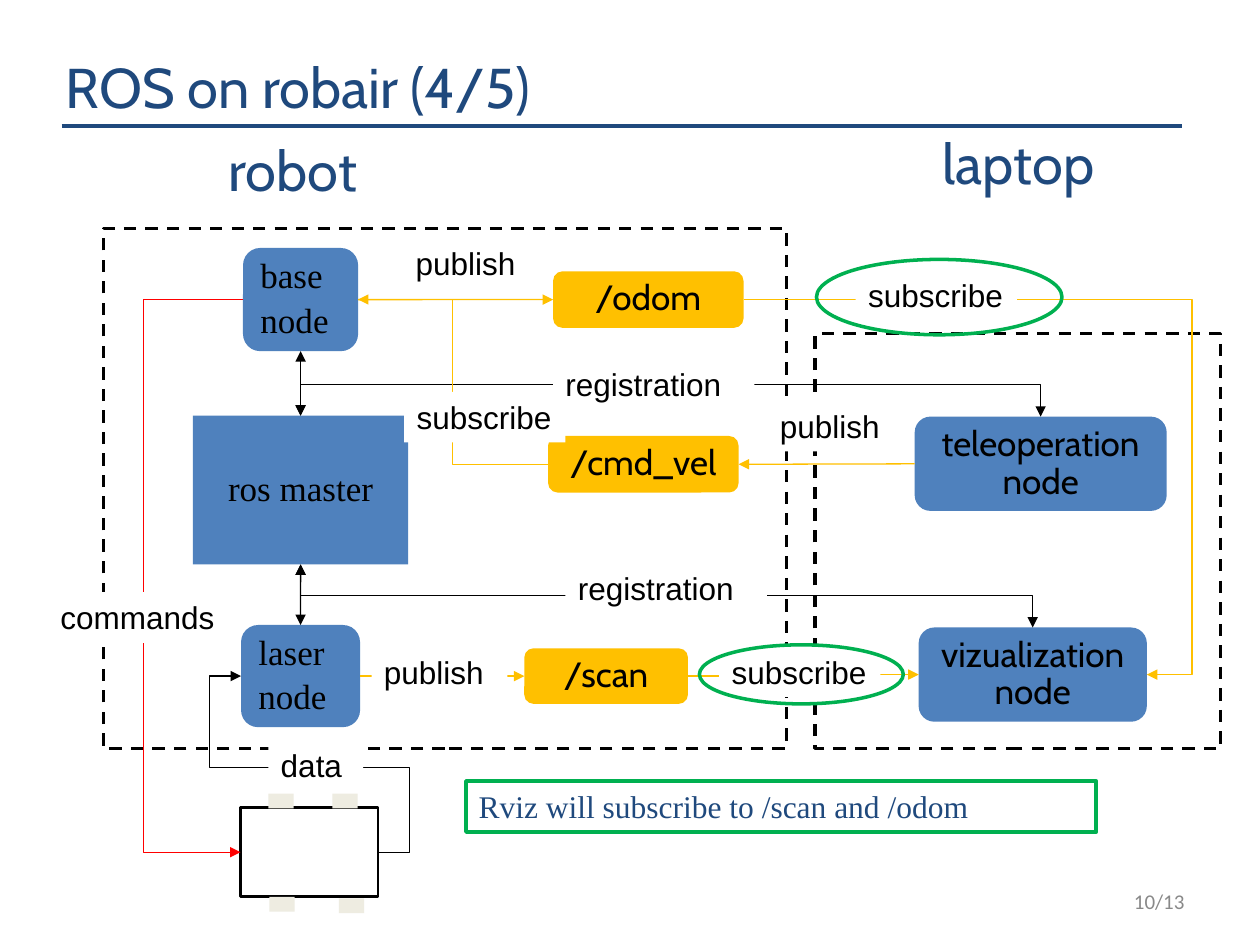
from pptx import Presentation
from pptx.dml.color import RGBColor
from pptx.enum.dml import MSO_LINE
from pptx.enum.shapes import MSO_CONNECTOR, MSO_SHAPE
from pptx.enum.text import MSO_ANCHOR, PP_ALIGN
from pptx.oxml.ns import qn
from pptx.util import Cm, Pt
from lxml.etree import SubElement

BLACK, WHITE, NAVY, BLUE = "000000", "FFFFFF", "1F497D", "4F81BD"
GOLD, GREEN, RED, SAND, GREY = "FFC000", "00B050", "FF0000", "EEECE1", "898989"
SERIF, SANS, HEAD = "Times New Roman", "Arial", "Cabin"
TOP, LEFT, BOTTOM, RIGHT = range(4)


def paint(part, color):
    """Set a fill or font colour from a hex string."""
    if hasattr(part, "solid"):
        part.solid()
        part.fore_color.rgb = RGBColor.from_string(color)
    else:
        part.color.rgb = RGBColor.from_string(color)


def write(shape, lines, font, size, color=BLACK, align=PP_ALIGN.LEFT,
          anchor=MSO_ANCHOR.TOP, space=None):
    """Write paragraphs; a newline inside one is a line break."""
    frame = shape.text_frame
    frame.word_wrap = True
    frame.vertical_anchor = anchor
    for n, line in enumerate(lines):
        para = frame.add_paragraph() if n else frame.paragraphs[0]
        para.alignment = align
        para.line_spacing = space
        if n:
            para.space_before = Pt(4)
        for k, word in enumerate(line.split("\n")):
            if k:
                para.add_line_break()
            run = para.add_run()
            run.text = word
            run.font.name, run.font.size = font, Pt(size)
            paint(run.font, color)


def block(slide, kind, box, fill=None, edge=None, width=1, dash=None):
    """Add a preset shape in a box given in centimetres."""
    shape = slide.shapes.add_shape(kind, *map(Cm, box))
    shape.shadow.inherit = False
    if fill:
        paint(shape.fill, fill)
    else:
        shape.fill.background()
    if edge:
        paint(shape.line, edge) if hasattr(shape.line, "solid") else paint(shape.line.fill, edge)
        shape.line.width = Pt(width)
        shape.line.dash_style = dash
    else:
        shape.line.fill.background()
    return shape


def node(slide, box, lines, fill=BLUE, font=HEAD, align=PP_ALIGN.CENTER,
         kind=MSO_SHAPE.ROUNDED_RECTANGLE):
    """Add a filled node with its name."""
    shape = block(slide, kind, box, fill)
    write(shape, lines, font, 20, BLACK, align, MSO_ANCHOR.MIDDLE, 0.9)
    return shape


def words(slide, box, text, font, size, color, align, anchor=MSO_ANCHOR.BOTTOM):
    """Add a plain text box."""
    shape = slide.shapes.add_textbox(*map(Cm, box))
    write(shape, [text], font, size, color, align, anchor)


def shift(box, x, y, *size):
    """Move a place into a box."""
    return (box[0] + x, box[1] + y, *size)


def ink(line, color, heads="", width=0.75):
    """Style a connector, with arrows at its head, its tail or both."""
    paint(line.line.fill, color)
    line.line.width = Pt(width)
    props = line._element.spPr
    for end in heads.split():
        SubElement(props.find(qn("a:ln")), qn(f"a:{end}End"), type="triangle")
    SubElement(props, qn("a:effectLst"))


def side(shape, n):
    """Return the middle of one side of a shape."""
    x, y = shape.left, shape.top
    w, h = shape.width, shape.height
    return [(x + w // 2, y), (x, y + h // 2),
            (x + w // 2, y + h), (x + w, y + h // 2)][n]


def link(slide, one, m, two, n, color, heads):
    """Join two shapes with a straight arrow."""
    line = slide.shapes.add_connector(
        MSO_CONNECTOR.STRAIGHT, *side(one, m), *side(two, n))
    line.begin_connect(one, m)
    line.end_connect(two, n)
    ink(line, color, heads)


def bend(slide, one, m, two, n, color, heads, vias):
    """Draw an elbow arrow between two sides, turning at the given places."""
    a, b = side(one, m), side(two, n)
    up = int(m in (TOP, BOTTOM))
    ends = (*a, *b)
    if up:
        cx, cy = (a[0] + b[0]) // 2, (a[1] + b[1]) // 2
        dx, dy = (b[0] - a[0]) // 2, (b[1] - a[1]) // 2
        ends = (cx - dy, cy + dx, cx + dy, cy - dx)
    line = slide.shapes.add_connector(MSO_CONNECTOR.ELBOW, *ends)
    props = line._element.spPr
    if up:
        props.find(qn("a:xfrm")).set("rot", "5400000")
    geom = props.find(qn("a:prstGeom"))
    geom.set("prst", f"bentConnector{len(vias) + 2}")
    for k, via in enumerate(vias):
        axis = (up + k) % 2
        part = (Cm(via) - a[axis]) / (b[axis] - a[axis])
        SubElement(geom.find(qn("a:avLst")), qn("a:gd"), name=f"adj{k + 1}",
                   fmla=f"val {round(part * 100000)}")
    ink(line, color, heads)


def robot(slide, box):
    """Draw the robot frame with its nodes and topics."""
    block(slide, MSO_SHAPE.RECTANGLE, box, None, BLACK, 1.75, MSO_LINE.DASH)
    left = PP_ALIGN.LEFT
    return {
        "master": node(slide, shift(box, 1.81, 3.78, 4.34, 3), ["ros master"],
                       font=SERIF, kind=MSO_SHAPE.RECTANGLE),
        "base": node(slide, shift(box, 2.82, 0.4, 2.32, 2.08),
                     ["base", "node"], font=SERIF, align=left),
        "laser": node(slide, shift(box, 2.78, 8, 2.4, 2.06),
                      ["laser", "node"], font=SERIF, align=left),
        "odom": node(slide, shift(box, 9.07, 0.87, 3.84, 1.14), ["/odom"], GOLD),
        "vel": node(slide, shift(box, 8.97, 4.19, 3.84, 1.14), ["/cmd_vel"], GOLD),
        "scan": node(slide, shift(box, 8.49, 8.47, 3.3, 1.12), ["/scan"], GOLD),
    }


def laptop(slide, box):
    """Draw the laptop frame with its nodes."""
    block(slide, MSO_SHAPE.RECTANGLE, box, None, BLACK, 1.75, MSO_LINE.DASH)
    return {
        "tele": node(slide, shift(box, 2.01, 1.67, 5.08, 1.9), ["teleoperation\nnode"]),
        "view": node(slide, shift(box, 2.09, 5.92, 4.6, 1.9), ["vizualization\nnode"]),
    }


def car(slide, box):
    """Draw the robot body with four wheels."""
    body = block(slide, MSO_SHAPE.RECTANGLE, box, None, BLACK, 1.5)
    for x, y in [(0.56, -0.28), (1.85, -0.28), (0.58, 1.8), (1.98, 1.83)]:
        block(slide, MSO_SHAPE.RECTANGLE, shift(box, x, y, 0.51, 0.3), SAND)
    return {"car": body}


def wires(slide, box, p):
    """Connect the nodes, turning relative to the box."""
    x, y = box[:2]
    both = "head tail"
    link(slide, p["base"], BOTTOM, p["master"], TOP, BLACK, both)
    link(slide, p["laser"], TOP, p["master"], BOTTOM, BLACK, both)
    link(slide, p["laser"], RIGHT, p["scan"], LEFT, GOLD, "tail")
    link(slide, p["tele"], LEFT, p["vel"], RIGHT, GOLD, "tail")
    link(slide, p["base"], RIGHT, p["odom"], LEFT, GOLD, "tail")
    for one, m, two, n, color, heads, vias in [
        ("laser", LEFT, "car", RIGHT, BLACK, "head", [x + 2.14, y + 10.87, x + 6.18]),
        ("view", TOP, "master", BOTTOM, BLACK, both, [y + 7.41]),
        ("tele", TOP, "master", TOP, BLACK, both, [y + 3.15]),
        ("base", LEFT, "car", LEFT, RED, "tail", [x + 0.82]),
        ("vel", LEFT, "base", RIGHT, GOLD, "tail", [x + 7.04]),
        ("scan", RIGHT, "view", LEFT, GOLD, "tail", [x + 14.15]),
        ("odom", RIGHT, "view", RIGHT, GOLD, "tail", [x + 21.95]),
    ]:
        bend(slide, p[one], m, p[two], n, color, heads, vias)


def labels(slide, box):
    """Name the wires and ring the two subscriptions."""
    for text, wide, spots in [
        ("data", 1.91, [(3.33, 10.31)]),
        ("commands", 3.84, [(-1.11, 7.34)]),
        ("registration", 4.06, [(9.07, 2.64), (9.32, 6.75)]),
        ("subscribe", 3.25, [(6.07, 3.3), (12.42, 8.43), (15.17, 0.84)]),
        ("publish", 2.74, [(5.41, 8.43), (13.39, 3.48), (6.05, 0.2)]),
    ]:
        for x, y in spots:
            tag = block(slide, MSO_SHAPE.RECTANGLE, shift(box, x, y, wide, 1.02), WHITE)
            write(tag, [text], SANS, 18)
    for ring in [(14.38, 0.63, 4.95, 1.52), (12.02, 8.4, 4.11, 1.19)]:
        block(slide, MSO_SHAPE.OVAL, shift(box, *ring), None, GREEN, 2)


def note(slide, box):
    """Add the framed remark."""
    shape = block(slide, MSO_SHAPE.RECTANGLE, box, WHITE, GREEN, 2.5)
    write(shape, ["Rviz will subscribe to /scan and /odom"], SERIF, 18, NAVY,
          PP_ALIGN.JUSTIFY)


def titles(slide, box):
    """Add the title, its rule, the two headings and the page number."""
    mid = PP_ALIGN.CENTER
    words(slide, box, "ROS on robair (4/5)", HEAD, 32, NAVY, PP_ALIGN.LEFT)
    x, y = shift(box, 0.17, 2.11)
    rule = slide.shapes.add_connector(
        MSO_CONNECTOR.STRAIGHT, Cm(x), Cm(y), Cm(x + 22.59), Cm(y))
    ink(rule, NAVY, width=2.5)
    words(slide, shift(box, 1.24, 1.68, 7.19, 2.11), "robot", HEAD, 32, NAVY, mid)
    words(slide, shift(box, 14.64, 1.53, 9.65, 2.11), "laptop", HEAD, 32, NAVY, mid)
    words(slide, shift(box, 17.14, 17.22, 5.92, 1.02), "10/13", "Calibri", 12, GREY,
          PP_ALIGN.RIGHT, MSO_ANCHOR.MIDDLE)


def main():
    """Build and save the slide."""
    deck = Presentation()
    deck.slide_width, deck.slide_height = Cm(25.4), Cm(19.05)
    slide = deck.slides.add_slide(deck.slide_layouts[6])
    area = (2.08, 4.6, 13.77, 10.49)
    parts = robot(slide, area)
    parts.update(laptop(slide, (16.43, 6.73, 8.18, 8.36)))
    parts.update(car(slide, (4.85, 16.28, 2.77, 1.8)))
    wires(slide, area, parts)
    labels(slide, area)
    note(slide, (9.4, 15.75, 12.7, 1.02))
    titles(slide, (1.07, 0.43, 22.76, 2.11))
    deck.save("out.pptx")


if __name__ == "__main__":
    main()
